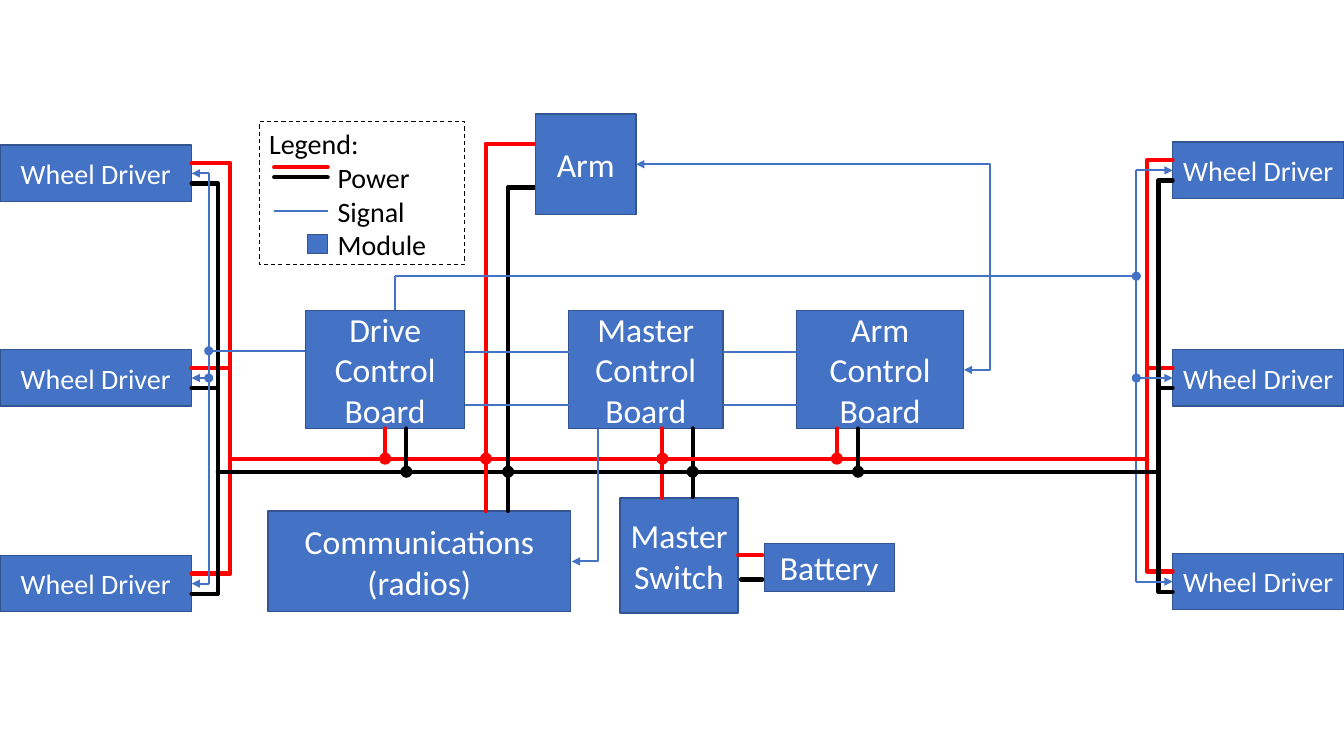
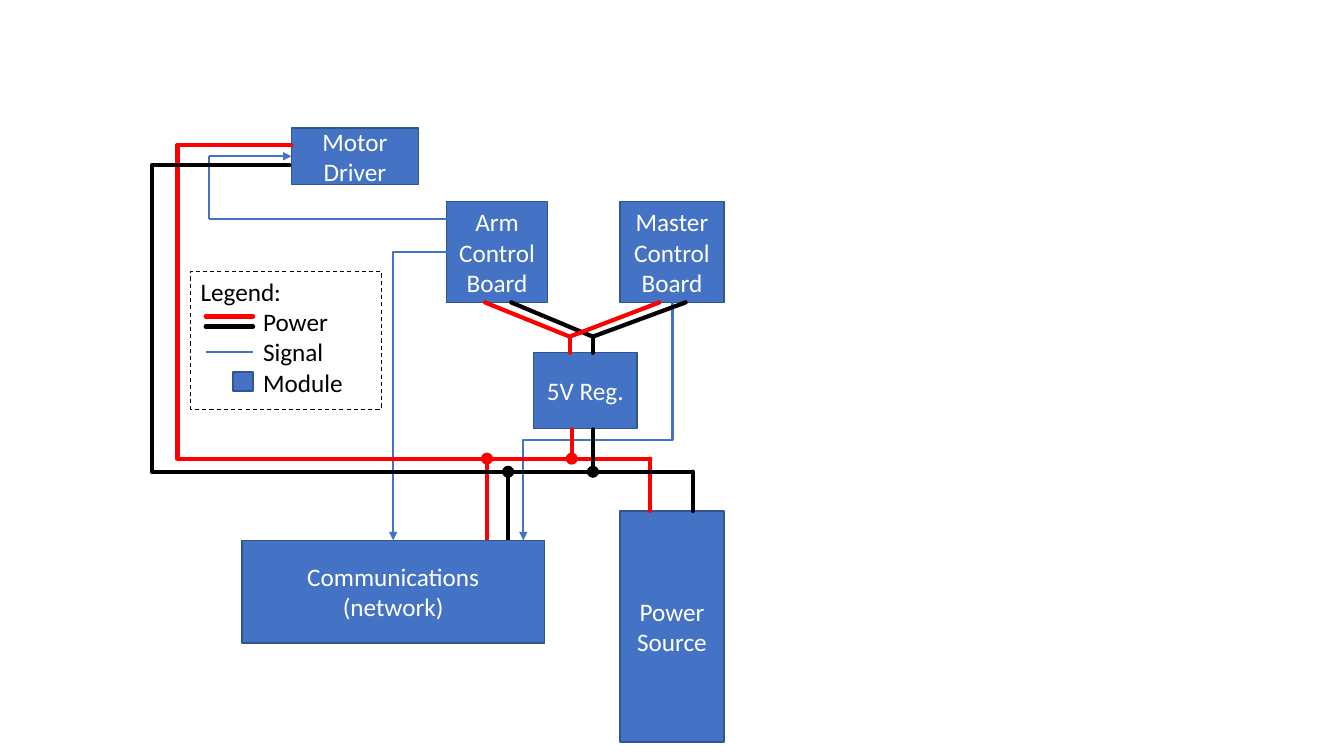
import lxml.etree
import pptx
import pptx.dml.color
import pptx.enum.dml
import pptx.enum.shapes
import pptx.enum.text
import pptx.oxml.ns
import pptx.util

EMU_PER_PX = 9144  # 100 px to the inch
RED = pptx.dml.color.RGBColor(0xFF, 0x00, 0x00)
BLACK = pptx.dml.color.RGBColor(0x00, 0x00, 0x00)
WHITE = pptx.dml.color.RGBColor(0xFF, 0xFF, 0xFF)
BLUE = pptx.dml.color.RGBColor(0x44, 0x72, 0xC4)
OUTLINE = pptx.dml.color.RGBColor(0x32, 0x54, 0x91)
FONT = "Calibri"
POWER_PT, SIGNAL_PT = 3, 1.5
RED_BUS_Y, BLACK_BUS_Y = 455, 468
TOP, LEFT, RIGHT = 0, 1, 3  # connection sites

SHAPE = pptx.enum.shapes.MSO_SHAPE
CONNECTOR = pptx.enum.shapes.MSO_CONNECTOR
qn = pptx.oxml.ns.qn


def px(length):
    return pptx.util.Emu(round(length * EMU_PER_PX))


def add_run(paragraph, text, size, color):
    run = paragraph.add_run()
    run.text = text
    run.font.name = FONT
    run.font.size = pptx.util.Pt(size)
    run.font.color.rgb = color


def box(slide, kind, left, top, width, height):
    shape = slide.shapes.add_shape(kind, px(left), px(top), px(width), px(height))
    shape.shadow.inherit = False
    return shape


def module(slide, frame, label="", size=18):
    block = box(slide, SHAPE.RECTANGLE, *frame)
    block.fill.solid()
    block.fill.fore_color.rgb = BLUE
    block.line.color.rgb = OUTLINE
    block.line.width = pptx.util.Pt(1)
    if label:
        text = block.text_frame
        text.word_wrap = True
        text.vertical_anchor = pptx.enum.text.MSO_ANCHOR.MIDDLE
        for index, words in enumerate(label.split("\n")):
            paragraph = text.add_paragraph() if index else text.paragraphs[0]
            paragraph.alignment = pptx.enum.text.PP_ALIGN.CENTER
            add_run(paragraph, words, size, WHITE)
    return block


def junction(slide, color, x, y, diameter=12):
    dot = box(slide, SHAPE.OVAL, x - diameter / 2, y - diameter / 2, diameter, diameter)
    dot.fill.solid()
    dot.fill.fore_color.rgb = color
    dot.line.fill.background()


def style_line(connector, color, arrows=()):
    connector.line.color.rgb = color
    connector.line.width = pptx.util.Pt(SIGNAL_PT if color == BLUE else POWER_PT)
    properties = connector._element.spPr
    outline = properties.find(qn("a:ln"))
    if color != BLUE:
        outline.set("cap", "rnd")
    for end in arrows:
        lxml.etree.SubElement(outline, qn("a:" + end)).set("type", "triangle")
    lxml.etree.SubElement(properties, qn("a:effectLst"))


def route(slide, color, *points, arrow=False):
    """Straight segments through the points; returns the last one."""
    segment = None
    for index, (start, end) in enumerate(zip(points, points[1:]), 2):
        segment = slide.shapes.add_connector(
            CONNECTOR.STRAIGHT, *map(px, start + end))
        is_last = index == len(points)
        style_line(segment, color, ["tailEnd"] if arrow and is_last else [])
    return segment


def elbow(slide, start, end, bend=None, downward=False, arrows=("tailEnd",)):
    """Signal with one corner, or with two placed by bend (a share of the run)."""
    (x1, y1), (x2, y2) = start, end
    if downward:  # leaves downwards to the left: the frame is turned a quarter
        middle_x, middle_y = (x1 + x2) / 2, (y1 + y2) / 2
        half_run, half_rise = (y2 - y1) / 2, (x1 - x2) / 2
        x1, x2 = middle_x - half_run, middle_x + half_run
        y1, y2 = middle_y - half_rise, middle_y + half_rise
    signal = slide.shapes.add_connector(CONNECTOR.ELBOW, *map(px, (x1, y1, x2, y2)))
    properties = signal._element.spPr
    if downward:
        properties.find(qn("a:xfrm")).set("rot", "5400000")
    geometry = properties.find(qn("a:prstGeom"))
    if bend is None:
        geometry.set("prst", "bentConnector2")
    else:
        guides = geometry.find(qn("a:avLst"))
        if guides is None:
            guides = lxml.etree.SubElement(geometry, qn("a:avLst"))
        guide = lxml.etree.SubElement(guides, qn("a:gd"))
        guide.set("name", "adj1")
        guide.set("fmla", f"val {round(bend * 100000)}")
    style_line(signal, BLUE, arrows)


def legend(slide, left, top, width, height, size, indent):
    frame = box(slide, SHAPE.RECTANGLE, left, top, width, height)
    frame.fill.background()
    frame.line.color.rgb = BLACK
    frame.line.width = pptx.util.Pt(0.75)
    frame.line.dash_style = pptx.enum.dml.MSO_LINE.DASH
    text = frame.text_frame
    text.word_wrap = True
    text.vertical_anchor = pptx.enum.text.MSO_ANCHOR.TOP
    for index, entry in enumerate(["Legend:", "Power", "Signal", "Module"]):
        paragraph = text.add_paragraph() if index else text.paragraphs[0]
        paragraph.alignment = pptx.enum.text.PP_ALIGN.LEFT
        if index:
            paragraph._p.get_or_add_pPr().set("marL", str(px(indent)))
        add_run(paragraph, entry, size, BLACK)

    # Keys, level with their rows
    row = size * 1.2 / 72 * 100
    key_left, key_right = left + 15, left + indent
    for color, offset in [(RED, 45), (BLACK, 55), (BLUE, 5 + 2.5 * row)]:
        route(slide, color, (key_left, top + offset), (key_right, top + offset))
    module(slide, (key_right - 20, top + 5 + 3.5 * row - 10, 20, 19))


def wheel_side(slide, left, width, tops, edge, site, red_x, black_x, signal_x):
    """Three wheel drivers with their power and signal trunks."""
    wheels = [module(slide, (left, top, width, 56), "Wheel Driver", 20) for top in tops]
    for color, trunk_x, offset in [(RED, red_x, 18), (BLACK, black_x, 38),
                                   (BLUE, signal_x, 28)]:
        for wheel, top in zip(wheels, tops):
            y = top + offset
            branch = route(slide, color, (trunk_x, y), (edge, y), arrow=color == BLUE)
            if color == BLUE:
                branch.end_connect(wheel, site)
        route(slide, color, (trunk_x, tops[0] + offset), (trunk_x, tops[-1] + offset))


def rover_slide(slide):
    # Modules
    switch = module(slide, (615, 494, 117, 114), "Master Switch", 24)
    for frame, label in [
        ((758, 539, 129, 48), "Battery"),
        ((303, 308, 158, 117), "Drive Control Board"),
        ((564, 308, 153, 117), "Master Control Board"),
        ((790, 308, 166, 117), "Arm Control Board"),
        ((266, 507, 300, 100), "Communications\n(radios)"),
    ]:
        module(slide, frame, label, 24)

    # Power: battery, switch and buses
    route(slide, RED, (732, 551), (756, 551)).begin_connect(switch, RIGHT)
    route(slide, BLACK, (735, 575), (756, 575))
    route(slide, RED, (657, 494), (657, 425))
    route(slide, BLACK, (687, 493), (687, 425))
    wheel_side(slide, 0, 190, (144, 347, 551), 190, RIGHT, 228, 216, 207)
    wheel_side(slide, 1163, 170, (141, 347, 549), 1163, LEFT, 1138, 1149, 1127)
    route(slide, RED, (228, RED_BUS_Y), (1138, RED_BUS_Y))
    route(slide, BLACK, (216, BLACK_BUS_Y), (1149, BLACK_BUS_Y))

    # Power: drops from the boards, arm and radios
    for red_x, black_x in [(382, 403), (830, 851)]:
        route(slide, RED, (red_x, 425), (red_x, RED_BUS_Y))
        route(slide, BLACK, (black_x, 425), (black_x, BLACK_BUS_Y))
    route(slide, RED, (531, 143), (482, 143), (482, 507))
    route(slide, BLACK, (531, 186), (504, 186), (504, 507))
    for x in (382, 482, 657, 830):
        junction(slide, RED, x, RED_BUS_Y)
    for x in (403, 504, 687, 851):
        junction(slide, BLACK, x, BLACK_BUS_Y)
    module(slide, (531, 113, 100, 100), "Arm", 24)

    # Signals
    for y in (349, 402):
        for start_x, end_x in [(461, 564), (717, 790)]:
            route(slide, BLUE, (start_x, y), (end_x, y))
    route(slide, BLUE, (207, 348), (303, 348))
    route(slide, BLUE, (1127, 274), (392, 274), (392, 308))
    elbow(slide, (956, 367), (631, 163), bend=-0.08, arrows=("headEnd", "tailEnd"))
    elbow(slide, (593, 426), (567, 557), downward=True)
    for x, y in [(1127, 274), (1127, 375), (207, 348), (207, 375)]:
        junction(slide, BLUE, x, y, 9)

    legend(slide, 257, 121, 204, 141, 20, 68)


def arm_slide(slide):
    # Modules
    motor = module(slide, (289, 127, 126, 56), "Motor Driver")
    for frame, label in [
        ((615, 507, 103, 229), "Power Source"),
        ((615, 200, 103, 100), "Master Control Board"),
        ((443, 200, 100, 100), "Arm Control Board"),
        ((529, 350, 103, 75), "5V Reg."),
    ]:
        module(slide, frame, label)

    # Signals
    signal = route(slide, BLUE, (443, 217), (207, 217), (207, 155), (289, 155), arrow=True)
    signal.end_connect(motor, LEFT)
    elbow(slide, (667, 300), (519, 536), bend=0.58, downward=True)
    elbow(slide, (443, 250), (390, 536))

    # Power: source to motor driver, and communications
    route(slide, RED, (483, 536), (483, RED_BUS_Y))
    route(slide, RED, (645, 507), (645, RED_BUS_Y), (176, RED_BUS_Y),
          (176, 144), (289, 144))
    route(slide, BLACK, (687, 507), (687, BLACK_BUS_Y), (151, BLACK_BUS_Y),
          (151, 164), (287, 164))
    route(slide, BLACK, (504, BLACK_BUS_Y), (504, 536))
    module(slide, (240, 536, 300, 102), "Communications\n(network)")

    # Power: regulator to the boards
    for color, x, bus_y, arm_x, master_x in [
        (BLACK, 588, BLACK_BUS_Y, 507, 680),
        (RED, 565, RED_BUS_Y, 481, 654),
    ]:
        feed_x = 567 if color == RED else x
        route(slide, color, (feed_x, 426), (feed_x, bus_y))
        route(slide, color, (x, 350), (x, 334), (arm_x, 300))
        route(slide, color, (x, 334), (master_x, 300))
        for junction_x in (feed_x, 483 if color == RED else 504):
            junction(slide, color, junction_x, bus_y)

    legend(slide, 189, 269, 189, 137, 18, 62)


def main():
    deck = pptx.Presentation()
    deck.slide_width, deck.slide_height = px(1333), px(750)
    blank = deck.slide_layouts[6]
    for draw in (rover_slide, arm_slide):
        draw(deck.slides.add_slide(blank))
    deck.save("out.pptx")


if __name__ == "__main__":
    main()
